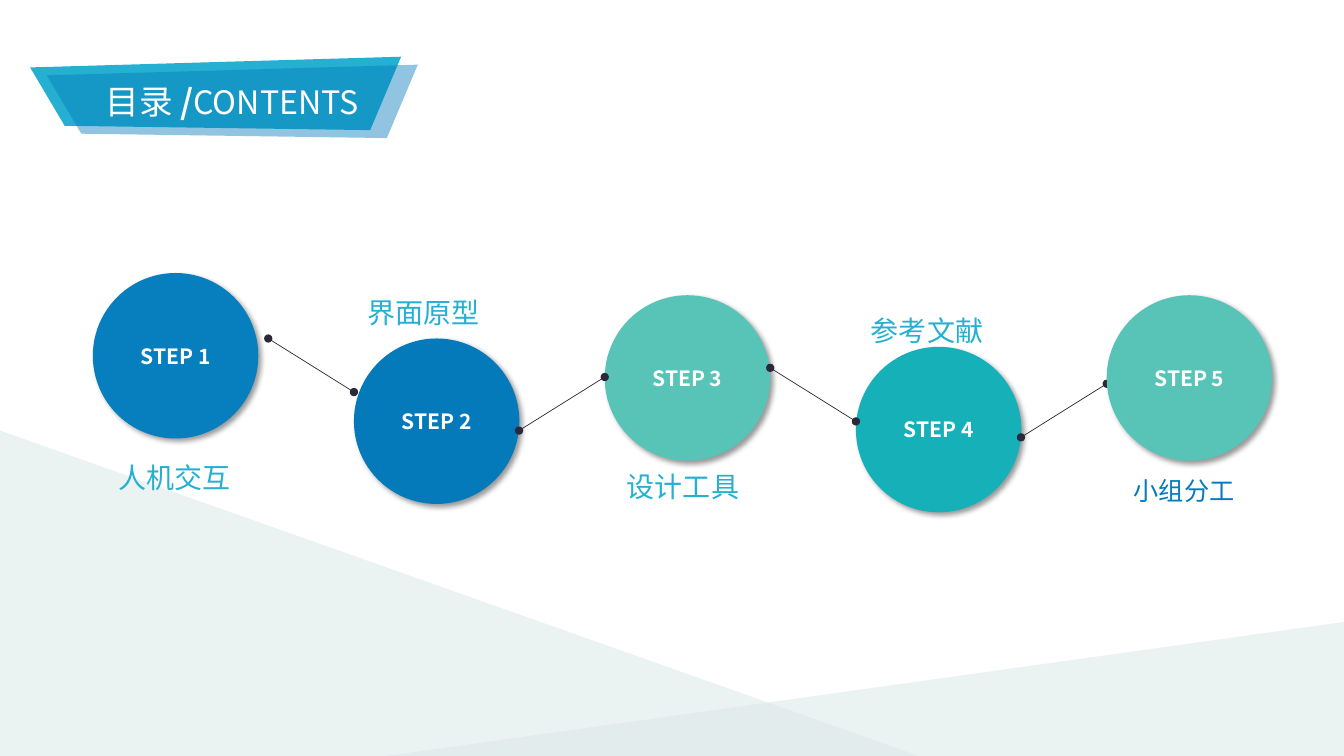
from lxml.etree import SubElement
from pptx import Presentation
from pptx.dml.color import RGBColor
from pptx.enum.shapes import MSO_CONNECTOR as CONN, MSO_SHAPE as SHAPE
from pptx.enum.text import MSO_ANCHOR as ANCHOR, MSO_AUTO_SIZE as FIT, PP_ALIGN as ALIGN
from pptx.oxml.ns import qn
from pptx.util import Cm, Pt

FONT = "Noto Sans CJK SC"
CYAN, BLUE, GREEN, TEAL = "25B0D2", "047ABA", "58C4B8", "15B0B8"
PALE, DARK, WHITE = "DDE9E8", "2B2939", "FFFFFF"


def rgb(value):
    return RGBColor.from_string(value)


class Deck:
    """Holds the presentation style and draws onto the current slide."""

    def __init__(self, width, height):
        self.prs = Presentation()
        self.prs.slide_width, self.prs.slide_height = Cm(width), Cm(height)
        self.s = self.prs.slides.add_slide(self.prs.slide_layouts[6])

    def paint(self, sp, color, alpha=None):
        sp.shadow.inherit = False
        sp.fill.solid()
        sp.fill.fore_color.rgb = rgb(color)
        sp.line.fill.background()
        if alpha:
            clr = sp._element.spPr.find(qn("a:solidFill"))[0]
            SubElement(clr, qn("a:alpha"), val=str(alpha * 1000))
        return sp

    def add_text(self, sp, runs, color, align=ALIGN.LEFT, inset=(0.25, 0.13), **frame):
        tf = sp.text_frame
        x, y = map(Cm, inset)
        fmt = dict(margin_left=x, margin_right=x, margin_top=y, margin_bottom=y,
                   word_wrap=True, **frame)
        for name, value in fmt.items():
            setattr(tf, name, value)
        p = tf.paragraphs[0]
        p.alignment = align
        for text, style in runs:
            r = p.add_run()
            r.text = text
            for name, value in {"name": FONT, **style}.items():
                setattr(r.font, name, value)
            r.font.color.rgb = rgb(color)
            SubElement(r._r.get_or_add_rPr(), qn("a:ea"), typeface=FONT)

    def triangle(self, x, y, w, h, flip=False):
        sp = self.s.shapes.add_shape(SHAPE.RIGHT_TRIANGLE, Cm(x), Cm(y), Cm(w), Cm(h))
        self.paint(sp, PALE, 56)
        if flip:
            sp._element.spPr.find(qn("a:xfrm")).set("flipH", "1")

    def ribbon(self, points, color, dx=0, dy=0, alpha=None):
        pts = [(Cm(x + dx), Cm(y + dy)) for x, y in points]
        fb = self.s.shapes.build_freeform(*pts[0])
        fb.add_line_segments(pts[1:], close=True)
        return self.paint(fb.convert_to_shape(), color, alpha)

    def step(self, number, x, y, color, size=4.17):
        sp = self.s.shapes.add_shape(SHAPE.OVAL, Cm(x), Cm(y), Cm(size), Cm(size))
        self.paint(sp, color)
        effects = sp._element.spPr.find(qn("a:effectLst"))
        shadow = SubElement(effects, qn("a:outerShdw"), blurRad=str(Pt(4)), dist=str(Pt(3)),
                            dir="2700000", algn="tl", rotWithShape="0")
        clr = SubElement(shadow, qn("a:srgbClr"), val="000000")
        SubElement(clr, qn("a:alpha"), val="40000")
        self.add_text(sp, [(f"STEP {number}", dict(size=Pt(15), bold=True))], WHITE,
                      ALIGN.CENTER, (0.18, 0.1), vertical_anchor=ANCHOR.MIDDLE)

    def link(self, x, y, rise, run=2.16):
        c = self.s.shapes.add_connector(CONN.STRAIGHT, Cm(x), Cm(y), Cm(x + run), Cm(y + rise))
        c.line.color.rgb = rgb(DARK)
        c.line.width = Pt(0.5)
        spPr = c._element.spPr
        for end in ("a:headEnd", "a:tailEnd"):
            SubElement(spPr.find(qn("a:ln")), qn(end), type="oval")
        SubElement(spPr, qn("a:effectLst"))

    def label(self, text, x, y, w, h=0.86, size=20, font="Cabin", color=CYAN,
              align=ALIGN.LEFT, inset=(0, 0)):
        tb = self.s.shapes.add_textbox(Cm(x), Cm(y), Cm(w), Cm(h))
        self.add_text(tb, [(text, dict(size=Pt(size), name=font))], color, align, inset,
                      auto_size=FIT.SHAPE_TO_FIT_TEXT)


def main():
    d = Deck(33.87, 19.05)
    d.triangle(9.73, 15.65, 24.31, 3.4, flip=True)
    d.triangle(0, 10.85, 23.16, 8.2)

    outline = [(0.76, 1.7), (1.63, 3.17), (9.33, 3.28), (10.11, 1.43)]
    d.ribbon(outline, CYAN)
    title = d.ribbon(outline, BLUE, 0.42, 0.2, 44)
    d.add_text(title, [("目录 ", dict(size=Pt(24))), ("/", dict(size=Pt(24), bold=True)),
                       ("CONTENTS", dict(size=Pt(23)))],
               WHITE, ALIGN.CENTER, vertical_anchor=ANCHOR.MIDDLE)

    steps = [(2.34, 6.88, "077FBF"), (8.92, 8.53, BLUE), (15.24, 7.44, GREEN),
             (21.57, 8.74, TEAL), (27.89, 7.44, GREEN)]
    links = [(6.76, 8.53, 1.35), (13.08, 10.85, -1.35),
             (19.41, 9.27, 1.35), (25.73, 11.02, -1.35)]
    for number, step in enumerate(steps[:-1], 1):
        d.step(number, *step)
    for link in links:
        d.link(*link)
    d.step(len(steps), *steps[-1])

    d.label("人机交互", 1.02, 11.61, 6.78, align=ALIGN.CENTER)
    for text, x, y in [("界面原型", 9.25, 7.44), ("设计工具", 15.8, 11.84),
                       ("参考文献", 21.95, 7.9)]:
        d.label(text, x, y, 6.78)
    d.label("小组分工", 28.32, 11.84, 3.33, 1.02, 18, FONT, BLUE, inset=(0.25, 0.13))
    d.prs.save("out.pptx")


if __name__ == "__main__":
    main()
